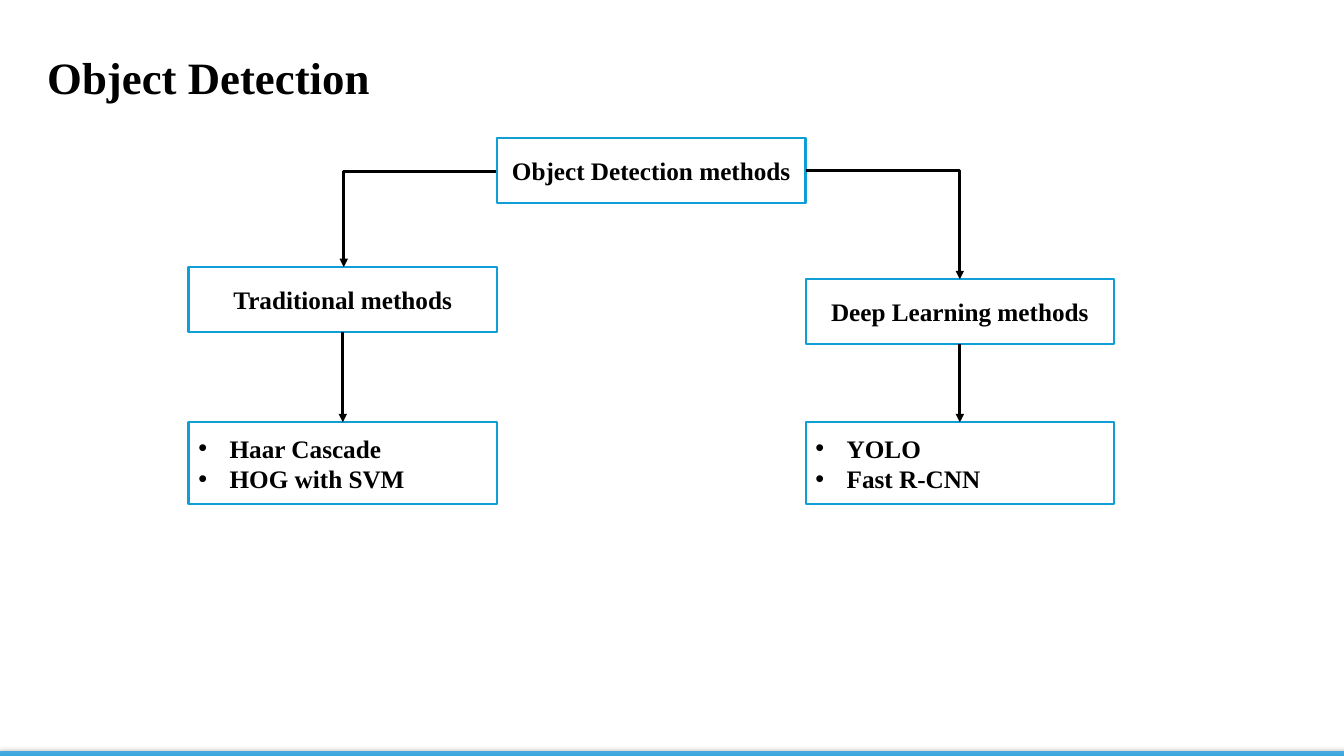
from dataclasses import dataclass

from lxml import etree
from pptx import Presentation
from pptx import util as u
from pptx.dml import color
from pptx.enum import shapes, text
from pptx.oxml import ns


@dataclass(frozen=True)
class Theme:
    font: str = "Times New Roman"
    ink: str = "000000"
    paper: str = "FFFFFF"
    border: str = "0F9ED5"
    footer: tuple[str, ...] = ("4CAADF", "05A2DF", "0092CB")
    title_size: int = 32
    body_size: int = 18
    border_width: float = 1.5
    arrow_width: float = 2


@dataclass(frozen=True)
class Node:
    left: float
    top: float
    height: float
    lines: tuple[str, ...]
    bulleted: bool = False


@dataclass(frozen=True)
class Arrow:
    start: tuple[float, float]
    end: tuple[float, float]


THEME = Theme()
NODE_WIDTH = 3.06
LEFT, CENTER, RIGHT = (1.87 + NODE_WIDTH * column for column in range(3))
LABEL_HEIGHT, LIST_HEIGHT = 0.64, 0.81
LIST_TOP = 4.19
INDENT = 0.31

NODES = (
    Node(CENTER, 1.37, LABEL_HEIGHT, ("Object Detection methods",)),
    Node(LEFT, 2.65, LABEL_HEIGHT, ("Traditional methods",)),
    Node(RIGHT, 2.77, LABEL_HEIGHT, ("Deep Learning methods",)),
    Node(LEFT, LIST_TOP, LIST_HEIGHT, ("Haar Cascade", "HOG with SVM"), True),
    Node(RIGHT, LIST_TOP, LIST_HEIGHT, ("YOLO", "Fast R-CNN"), True),
)
ARROWS = (
    Arrow((4.92, 1.7), (3.41, 2.65)),
    Arrow((7.99, 1.69), (9.52, 2.77)),
    Arrow((3.4, 3.29), (3.4, LIST_TOP)),
    Arrow((9.52, 3.41), (9.52, LIST_TOP)),
)


def rgb(value: str) -> color.RGBColor:
    return color.RGBColor.from_string(value)


def add_tag(parent, tag: str, **values):
    return etree.SubElement(
        parent, ns.qn(tag), {name: str(value) for name, value in values.items()}
    )


def add_span(para, content: str, size: int) -> None:
    span = para.add_run()
    span.text = content
    formats = {"name": THEME.font, "size": u.Pt(size), "bold": True}
    for name, value in formats.items():
        setattr(span.font, name, value)
    span.font.color.rgb = rgb(THEME.ink)


def add_bullet(para) -> None:
    properties = para._p.get_or_add_pPr()
    properties.set("marL", str(u.Inches(INDENT)))
    properties.set("indent", str(-u.Inches(INDENT)))
    add_tag(properties, "a:buFont", typeface="Arial")
    add_tag(properties, "a:buChar", char="•")


def add_rectangle(page, left: float, top: float, width: float, height: float):
    box = page.shapes.add_shape(
        shapes.MSO_SHAPE.RECTANGLE, *map(u.Inches, (left, top, width, height))
    )
    box.shadow.inherit = False
    return box


def add_footer(page) -> None:
    bar = add_rectangle(page, 0, 7.45, 13.33, 0.31)
    bar.line.fill.background()
    bar.fill.gradient()
    bar.fill.gradient_angle = 270
    properties = bar._element.spPr
    stops = properties.find(".//" + ns.qn("a:gsLst"))
    stops.clear()
    for index, shade in enumerate(THEME.footer):
        stop = add_tag(stops, "a:gs", pos=index * 50000)
        add_tag(stop, "a:srgbClr", val=shade)
    shadow = add_tag(
        properties.find(ns.qn("a:effectLst")),
        "a:outerShdw",
        blurRad=u.Pt(4.5),
        dist=u.Pt(1.5),
        dir=5400000,
        rotWithShape=0,
    )
    add_tag(add_tag(shadow, "a:srgbClr", val=THEME.ink), "a:alpha", val=63000)


def add_title(page, content: str) -> None:
    box = page.shapes.add_textbox(*map(u.Inches, (0.37, 0.44, 11.1, 0.64)))
    box.text_frame.word_wrap = True
    box.text_frame.auto_size = text.MSO_AUTO_SIZE.SHAPE_TO_FIT_TEXT
    add_span(box.text_frame.paragraphs[0], content, THEME.title_size)


def add_node(page, node: Node) -> None:
    box = add_rectangle(page, node.left, node.top, NODE_WIDTH, node.height)
    box.fill.solid()
    box.fill.fore_color.rgb = rgb(THEME.paper)
    box.line.color.rgb = rgb(THEME.border)
    box.line.width = u.Pt(THEME.border_width)
    frame = box.text_frame
    frame.word_wrap = True
    frame.vertical_anchor = text.MSO_ANCHOR.MIDDLE
    for index, line in enumerate(node.lines):
        para = frame.add_paragraph() if index else frame.paragraphs[0]
        para.alignment = text.PP_ALIGN.LEFT if node.bulleted else text.PP_ALIGN.CENTER
        if node.bulleted:
            add_bullet(para)
        add_span(para, line, THEME.body_size)


def add_arrow(page, arrow: Arrow) -> None:
    bent = arrow.start[0] != arrow.end[0]
    kind = shapes.MSO_CONNECTOR.ELBOW if bent else shapes.MSO_CONNECTOR.STRAIGHT
    connector = page.shapes.add_connector(kind, *map(u.Inches, arrow.start + arrow.end))
    connector.line.color.rgb = rgb(THEME.ink)
    connector.line.width = u.Pt(THEME.arrow_width)
    properties = connector._element.spPr
    if bent:
        properties.find(ns.qn("a:prstGeom")).set("prst", "bentConnector2")
    add_tag(properties.find(ns.qn("a:ln")), "a:tailEnd", type="triangle")
    add_tag(properties, "a:effectLst")


def main() -> None:
    deck = Presentation()
    deck.slide_width, deck.slide_height = u.Inches(13.33), u.Inches(7.5)
    page = deck.slides.add_slide(deck.slide_layouts[6])
    add_footer(page)
    add_title(page, "Object Detection")
    for node in NODES:
        add_node(page, node)
    for arrow in ARROWS:
        add_arrow(page, arrow)
    deck.save("out.pptx")


if __name__ == "__main__":
    main()
